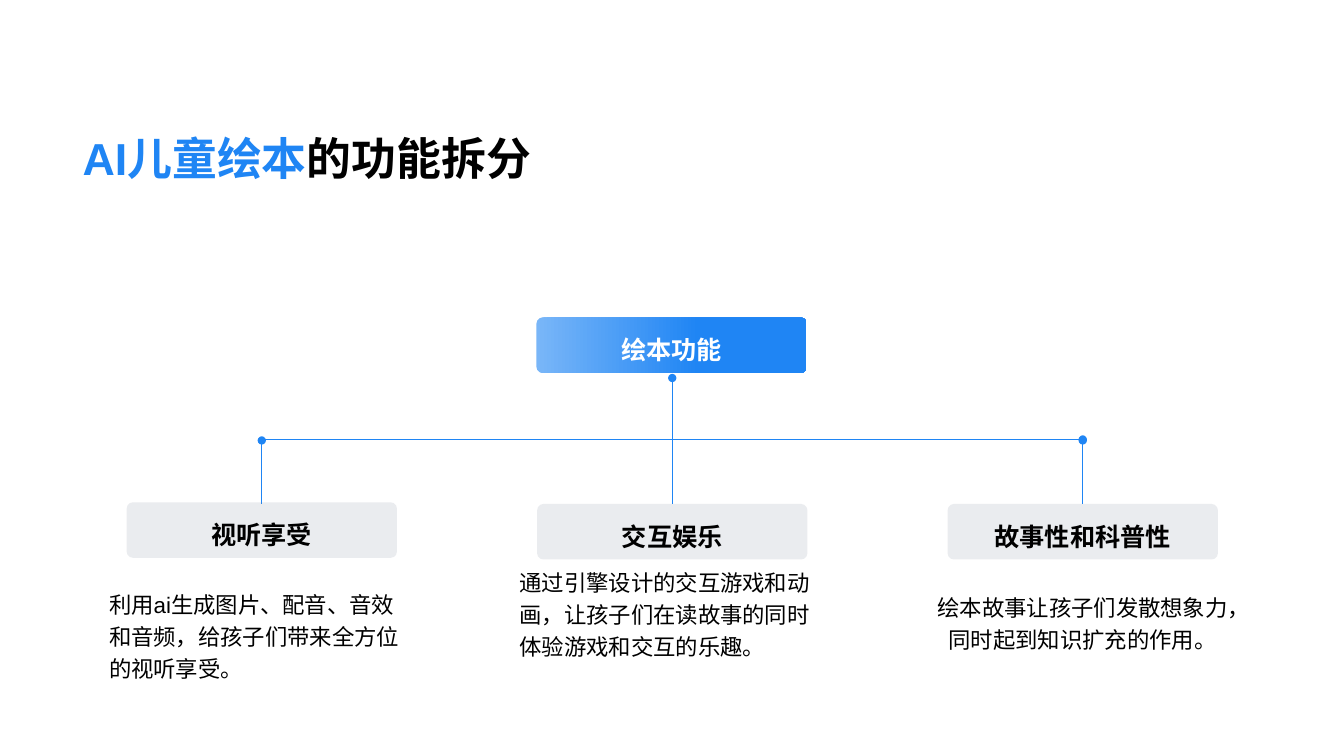
"""Build a slide that splits the functions of an AI picture book into a tree."""
import lxml.etree
import pptx
import pptx.dml.color
import pptx.enum.shapes
import pptx.enum.text
import pptx.oxml
import pptx.oxml.ns
import pptx.util

Pt = pptx.util.Pt
qn = pptx.oxml.ns.qn
ALIGN = pptx.enum.text.PP_ALIGN
ANCHOR = pptx.enum.text.MSO_ANCHOR
BLUE, LIGHT_BLUE, GREY, BLACK, WHITE = "1F85F4", "79B6F8", "778495", "000000", "FFFFFF"
CARD_WIDTH, CARD_HEIGHT = 193, 39.6
NOTE_WIDTH, NOTE_HEIGHT = 247, 92.2
FIRST_CENTER, PITCH = 187, 293.2
BRANCHES = [
    ("视听享受", 358.8, 314.6, "利用ai生成图片、配音、音效和音频，给孩子们带来全方位的视听享受。", 406.8, ALIGN.LEFT),
    ("交互娱乐", 360, 270, "通过引擎设计的交互游戏和动画，让孩子们在读故事的同时体验游戏和交互的乐趣。", 391, ALIGN.LEFT),
    ("故事性和科普性", 360, 314.6, "绘本故事让孩子们发散想象力，同时起到知识扩充的作用。", 397.4, ALIGN.CENTER),
]


def color(value):
    return pptx.dml.color.RGBColor.from_string(value)


def apply(target, values):
    for name, value in values.items():
        setattr(target, name, value)


def write(frame, pieces, size, bold, align, spacing, **frame_values):
    apply(frame, {"word_wrap": True, "auto_size": pptx.enum.text.MSO_AUTO_SIZE.NONE, **frame_values})
    paragraph = frame.paragraphs[0]
    apply(paragraph, {"alignment": align, "line_spacing": spacing})
    for words, ink in pieces:
        run = paragraph.add_run()
        run.text = words
        apply(run.font, {"name": "Arial", "size": Pt(size), "bold": bold})
        run.font.color.rgb = color(ink)


def add_card(slide, center, top, label, ink):
    card = slide.shapes.add_shape(
        pptx.enum.shapes.MSO_SHAPE.ROUNDED_RECTANGLE,
        Pt(center - CARD_WIDTH / 2), Pt(top), Pt(CARD_WIDTH), Pt(CARD_HEIGHT))
    card.adjustments[0] = 0.11
    card.shadow.inherit = False
    card.line.fill.background()
    write(card.text_frame, [(label, ink)], 18, True, ALIGN.CENTER, 1.3, vertical_anchor=ANCHOR.MIDDLE)
    return card


def fill_gradient(card):
    card.fill.gradient()
    card.fill.gradient_angle = 0
    for stop, position, tone in zip(card.fill.gradient_stops, (0, 0.6), (LIGHT_BLUE, BLUE)):
        stop.position = position
        stop.color.rgb = color(tone)


def fill_pale(card):
    card.fill.solid()
    card.fill.fore_color.rgb = color(GREY)
    tone = card.fill._xPr.find(qn("a:solidFill"))[0]
    lxml.etree.SubElement(tone, qn("a:alpha"), val="15000")


def add_branch_line(slide, x1, y1, x2, y2):
    link = slide.shapes.add_connector(
        pptx.enum.shapes.MSO_CONNECTOR.STRAIGHT, Pt(x1), Pt(y1), Pt(x2), Pt(y2))
    link.line.width = Pt(1)
    link.line.color.rgb = color(BLUE)
    lxml.etree.SubElement(link.line._get_or_add_ln(), qn("a:headEnd"), type="oval")
    lxml.etree.SubElement(link._element.spPr, qn("a:effectLst"))


def add_note(slide, center, top, words, align):
    note = slide.shapes.add_textbox(
        Pt(center - NOTE_WIDTH / 2), Pt(top), Pt(NOTE_WIDTH), Pt(NOTE_HEIGHT))
    write(note.text_frame, [(words, BLACK)], 16, False, align, 1.2,
          vertical_anchor=ANCHOR.MIDDLE, margin_left=Pt(14.4), margin_right=Pt(14.4),
          margin_top=Pt(2.88), margin_bottom=Pt(2.88))


def set_title(slide):
    title = slide.shapes.title
    apply(title, {"left": Pt(51.8), "top": Pt(69.8), "width": Pt(855.4), "height": Pt(65.5)})
    write(title.text_frame, [("AI儿童绘本", BLUE), ("的功能拆分", BLACK)], 32, True,
          ALIGN.LEFT, 1.0, vertical_anchor=ANCHOR.BOTTOM)


def main():
    deck = pptx.Presentation()
    apply(deck, {"slide_width": Pt(960), "slide_height": Pt(540)})
    slide = deck.slides.add_slide(deck.slide_layouts[5])
    set_title(slide)
    fill_gradient(add_card(slide, FIRST_CENTER + PITCH - 0.5, 226.8, "绘本功能", WHITE))
    add_branch_line(slide, FIRST_CENTER + 2 * PITCH, 313.9, FIRST_CENTER - 1, 313.9)
    for index, (label, card_top, stem_top, words, note_top, align) in enumerate(BRANCHES):
        center = FIRST_CENTER + index * PITCH
        add_branch_line(slide, center, stem_top, center, 360)
        fill_pale(add_card(slide, center, card_top, label, BLACK))
        add_note(slide, center, note_top, words, align)
    deck.save("out.pptx")


if __name__ == "__main__":
    main()
